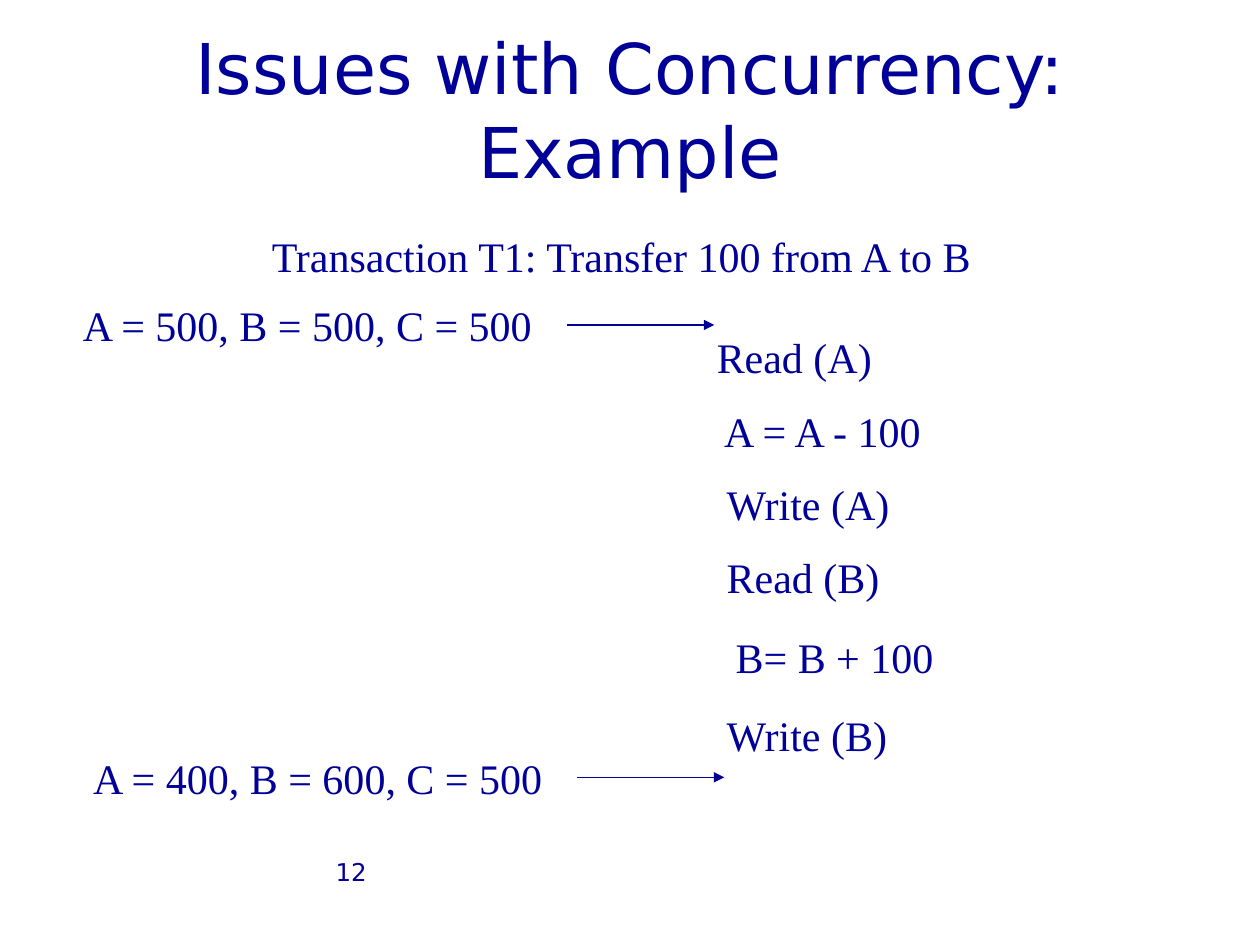
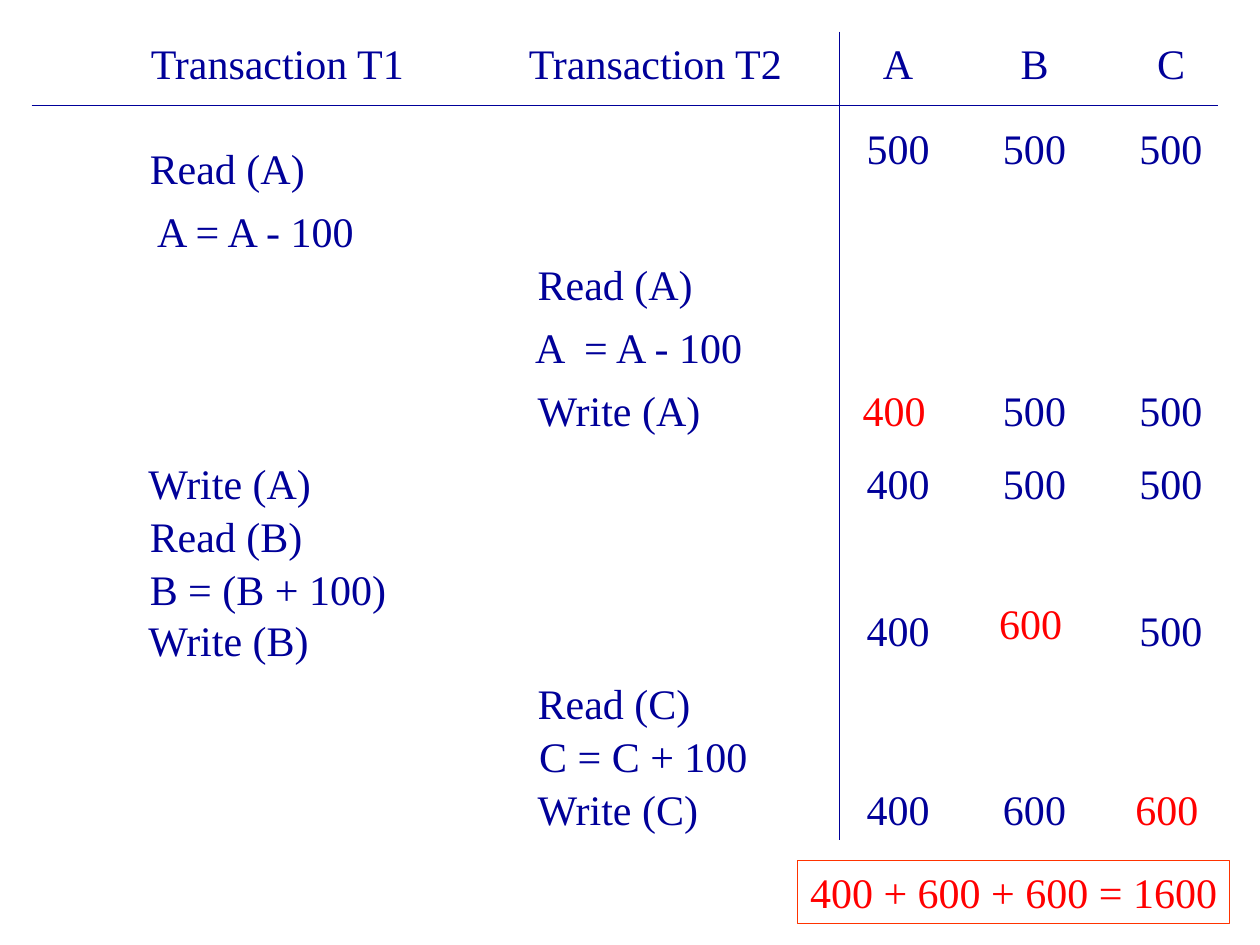
from typing import NamedTuple

from lxml.etree import SubElement
from pptx import Presentation
from pptx.dml.color import RGBColor
from pptx.enum.shapes import MSO_CONNECTOR, MSO_SHAPE
from pptx.enum.text import MSO_ANCHOR, MSO_AUTO_SIZE, PP_ALIGN
from pptx.oxml.ns import qn
from pptx.util import Cm, Pt

# Shared style
NAVY = RGBColor(0x00, 0x00, 0x99)
RED = RGBColor(0xFF, 0x00, 0x00)
ORANGE = RGBColor(0xFF, 0x33, 0x00)
TITLE_FONT = "DejaVu Sans"
BODY_FONT = "Times New Roman"
BODY_SIZE = 24
LINE_WIDTH = Pt(0.75)
BOX_HEIGHT = 1.27

# Box widths in centimetres, fitted to the wording
WIDTHS = {
    "Read (A)": 3.63, "Read (B)": 3.58, "Read (C)": 3.58,
    "Write (A)": 4.04, "Write (B)": 3.76, "Write (C)": 3.76,
    "A = A - 100": 4.6, "A  = A - 100": 4.8, "B= B + 100": 4.5,
    "B = (B + 100)": 5.4, "C = C + 100": 4.85,
    "Transaction T1": 5.64, "Transaction T2": 5.64,
    "Transaction T1: Transfer 100 from A to B": 14.78,
    "A = 500, B = 500, C = 500": 9.6, "A = 400, B = 600, C = 500": 9.6,
    "A": 1.12, "B": 1.07, "C": 1.07,
}
VALUE_WIDTH = 1.78


class Label(NamedTuple):
    text: str
    left: float
    top: float


class Line(NamedTuple):
    start_x: float
    start_y: float
    end_x: float
    end_y: float
    arrow: bool = False


class ValueRow(NamedTuple):
    top: float
    values: tuple[str, ...]
    changed: int | None = None  # column of the value just written
    lift: float = 0


# Slide 1: one transaction on its own
TRANSFER_LABELS = [
    Label("Read (A)", 14.2, 6.55),
    Label("A = A - 100", 14.35, 8.05),
    Label("Write (A)", 14.4, 9.53),
    Label("Read (B)", 14.4, 11),
    Label("B= B + 100", 14.58, 12.6),
    Label("Write (B)", 14.4, 14.17),
    Label("Transaction T1: Transfer 100 from A to B", 5.23, 4.52),
    Label("A = 400, B = 600, C = 500", 1.63, 15.04),
    Label("A = 500, B = 500, C = 500", 1.42, 5.92),
]
STATE_ARROWS = [
    Line(11.43, 6.55, 14.4, 6.55, True),
    Line(11.63, 15.67, 14.6, 15.67, True),
]

# Slide 2: two interleaved transactions
HEADER_TOP = 0.64
SCHEDULE_LABELS = [
    Label("Transaction T1", 2.79, HEADER_TOP),
    Label("Read (A)", 2.77, 2.74),
    Label("A = A - 100", 2.92, 4.01),
    Label("Write (A)", 2.74, 9.09),
    Label("Read (B)", 2.77, 10.16),
    Label("B = (B + 100)", 2.77, 11.23),
    Label("Write (B)", 2.74, 12.27),
    Label("Transaction T2", 10.41, HEADER_TOP),
    Label("Read (A)", 10.59, 5.08),
    Label("A  = A - 100", 10.54, 6.35),
    Label("Write (A)", 10.59, 7.62),
    Label("Read (C)", 10.59, 13.54),
    Label("C = C + 100", 10.62, 14.61),
    Label("Write (C)", 10.59, 15.67),
]
GRID_LINES = [Line(0.64, 2.12, 24.55, 2.12), Line(16.93, 0.64, 16.93, 16.93)]
FIRST_CENTER = 18.11
COLUMN_PITCH = 2.75
CHANGED_SHIFT = 0.08
VALUE_ROWS = [
    ValueRow(2.34, ("500", "500", "500")),
    ValueRow(7.62, ("400", "500", "500"), changed=0),
    ValueRow(9.09, ("400", "500", "500")),
    ValueRow(12.07, ("400", "600", "500"), changed=1, lift=0.15),
    ValueRow(15.67, ("400", "600", "600"), changed=2),
]


def write_text(shape, text: str, font: str, size: int, color: RGBColor,
               align=PP_ALIGN.LEFT) -> None:
    shape.text_frame.text = text
    paragraph = shape.text_frame.paragraphs[0]
    paragraph.alignment = align
    for run in paragraph.runs:
        run.font.name = font
        run.font.size = Pt(size)
        run.font.color.rgb = color


def fit_to_text(shape, text: str, color: RGBColor) -> None:
    write_text(shape, text, BODY_FONT, BODY_SIZE, color)
    shape.text_frame.word_wrap = False
    shape.text_frame.auto_size = MSO_AUTO_SIZE.SHAPE_TO_FIT_TEXT
    shape.text_frame.vertical_anchor = MSO_ANCHOR.TOP


def add_label(slide, label: Label, color: RGBColor = NAVY) -> None:
    width = WIDTHS.get(label.text, VALUE_WIDTH)
    box = slide.shapes.add_textbox(
        Cm(label.left), Cm(label.top), Cm(width), Cm(BOX_HEIGHT))
    fit_to_text(box, label.text, color)


def add_line(slide, line: Line) -> None:
    connector = slide.shapes.add_connector(
        MSO_CONNECTOR.STRAIGHT, Cm(line.start_x), Cm(line.start_y),
        Cm(line.end_x), Cm(line.end_y))
    connector.line.color.rgb = NAVY
    connector.line.width = LINE_WIDTH
    properties = connector._element.spPr
    if line.arrow:
        SubElement(properties.find(qn("a:ln")), qn("a:tailEnd"), type="triangle")
    SubElement(properties, qn("a:effectLst"))


def add_centered(slide, text: str, column: int, top: float,
                 color: RGBColor = NAVY, shift: float = 0) -> None:
    center = FIRST_CENTER + column * COLUMN_PITCH - shift
    left = center - WIDTHS.get(text, VALUE_WIDTH) / 2
    add_label(slide, Label(text, left, top), color)


def add_value_row(slide, row: ValueRow) -> None:
    for column, value in enumerate(row.values):
        if column == row.changed:
            add_centered(slide, value, column, row.top - row.lift, RED, CHANGED_SHIFT)
        else:
            add_centered(slide, value, column, row.top)


def build_transfer_slide(presentation) -> None:
    slide = presentation.slides.add_slide(presentation.slide_layouts[5])

    # Title and page number
    title = slide.shapes.title
    title.left, title.top = Cm(1.9), Cm(0.6)
    title.width, title.height = Cm(21.6), Cm(3.18)
    write_text(title, "Issues with Concurrency: Example", TITLE_FONT, 40, NAVY,
               PP_ALIGN.CENTER)
    title.text_frame.auto_size = MSO_AUTO_SIZE.NONE
    title.text_frame.vertical_anchor = MSO_ANCHOR.MIDDLE
    page_number = slide.shapes.add_textbox(
        Cm(1.9), Cm(17.15), Cm(10.36), Cm(BOX_HEIGHT))
    page_number.text_frame.word_wrap = True
    write_text(page_number, "12", TITLE_FONT, 14, NAVY, PP_ALIGN.CENTER)

    # Steps and account states
    for label in TRANSFER_LABELS:
        add_label(slide, label)
    for arrow in STATE_ARROWS:
        add_line(slide, arrow)


def build_schedule_slide(presentation) -> None:
    slide = presentation.slides.add_slide(presentation.slide_layouts[6])

    # Steps and rules
    for label in SCHEDULE_LABELS:
        add_label(slide, label)
    for line in GRID_LINES:
        add_line(slide, line)

    # Account values
    for column, account in enumerate("ABC"):
        add_centered(slide, account, column, HEADER_TOP)
    for row in VALUE_ROWS:
        add_value_row(slide, row)

    # Final sum
    total = slide.shapes.add_shape(
        MSO_SHAPE.RECTANGLE, Cm(16.08), Cm(17.35), Cm(8.71), Cm(BOX_HEIGHT))
    total.shadow.inherit = False
    total.fill.background()
    total.line.color.rgb = ORANGE
    total.line.width = LINE_WIDTH
    fit_to_text(total, "400 + 600 + 600 = 1600", RED)


def main() -> None:
    presentation = Presentation()
    presentation.slide_width = Cm(25.4)
    presentation.slide_height = Cm(19.05)
    build_transfer_slide(presentation)
    build_schedule_slide(presentation)
    presentation.save("out.pptx")


if __name__ == "__main__":
    main()
